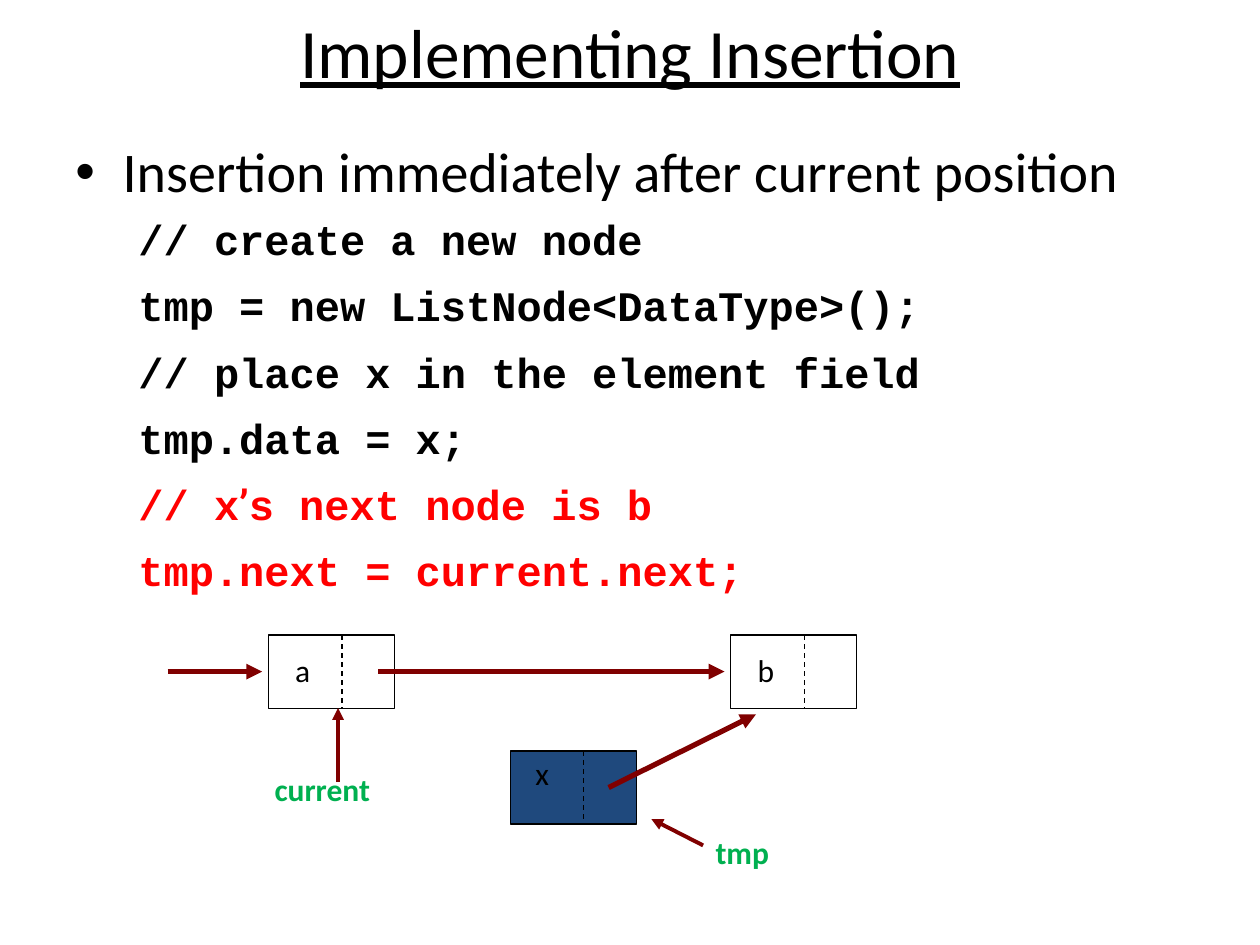
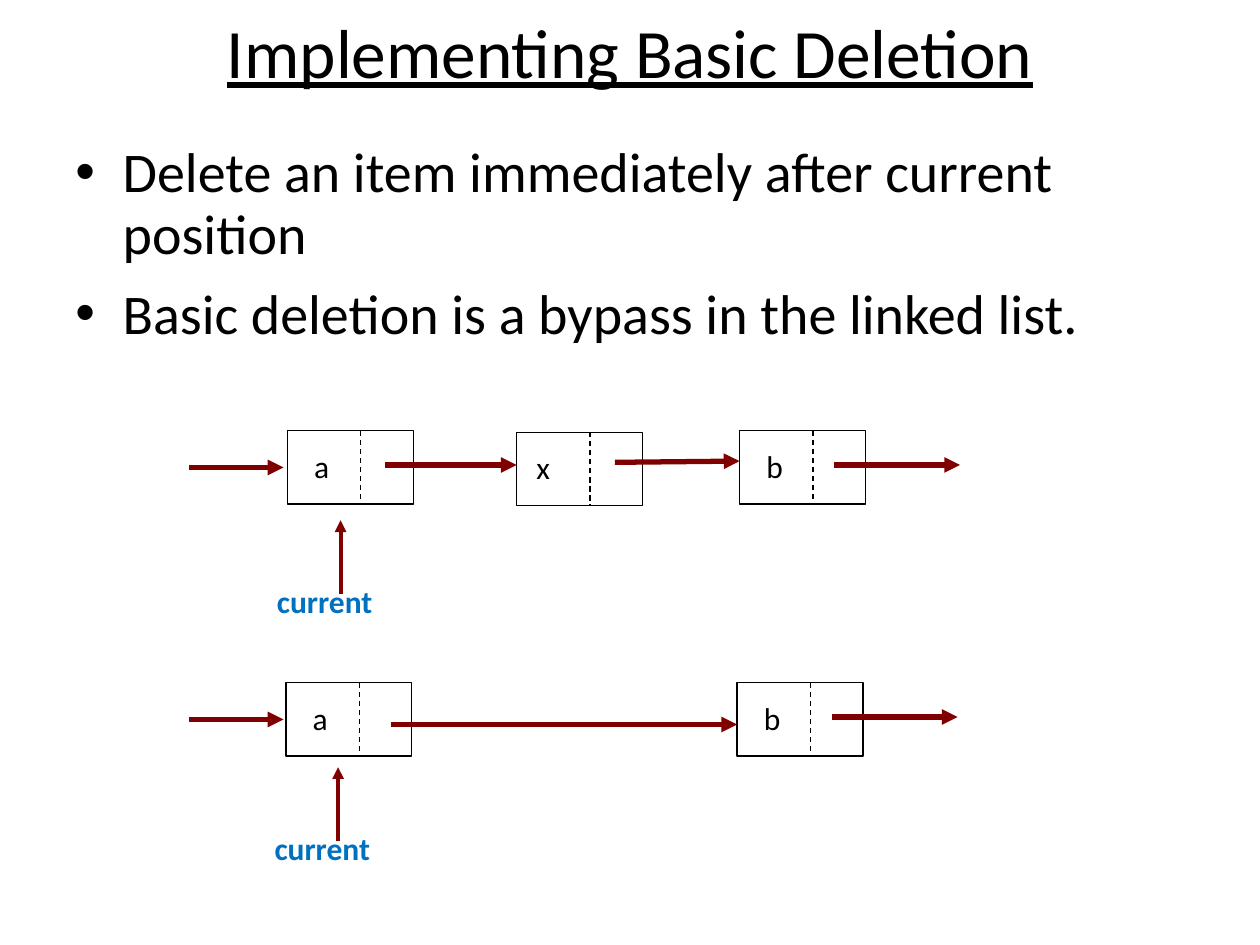
from dataclasses import dataclass

from lxml import etree
from pptx import Presentation
from pptx.dml.color import RGBColor
from pptx.enum.dml import MSO_LINE
from pptx.enum.shapes import MSO_CONNECTOR, MSO_SHAPE
from pptx.enum.text import MSO_ANCHOR, MSO_AUTO_SIZE, PP_ALIGN
from pptx.oxml.ns import qn
from pptx.util import Pt

STRAIGHT = MSO_CONNECTOR.STRAIGHT
RECT = MSO_SHAPE.RECTANGLE
DASH = MSO_LINE.DASH
TOP, MIDDLE = MSO_ANCHOR.TOP, MSO_ANCHOR.MIDDLE
CENTER = PP_ALIGN.CENTER
NO_AUTOFIT = MSO_AUTO_SIZE.NONE
TITLE_ONLY = 5


@dataclass(frozen=True)
class Theme:
    black: str = "000000"
    white: str = "FFFFFF"
    navy: str = "1F497D"
    maroon: str = "800000"
    red: str = "FF0000"
    green: str = "00B050"
    blue: str = "0070C0"
    font: str = "Calibri"
    code_font: str = "Courier New"
    quote_font: str = "Roboto"
    title_size: float = 39.6
    body_size: float = 32
    code_size: float = 24
    label_size: float = 18
    outline: float = 0.75
    pointer: float = 2.25
    link: float = 3


NODE_W, NODE_H, DIVIDER = 72, 41.8, 42
HEAD_LENGTH = 54


class Deck:
    def __init__(self, theme):
        self.theme = theme
        self.prs = Presentation()
        self.prs.slide_width, self.prs.slide_height = Pt(720), Pt(540)
        self.s = None

    def font(self, target, size, color=None, name=None, bold=False):
        f = target.font
        f.name, f.size, f.bold = name or self.theme.font, Pt(size), bold
        f.color.rgb = RGBColor.from_string(color or self.theme.black)

    def slide(self, title):
        self.s = self.prs.slides.add_slide(self.prs.slide_layouts[TITLE_ONLY])
        sp = self.s.shapes.title
        sp.left, sp.top, sp.width, sp.height = Pt(0), Pt(3.6), Pt(720), Pt(50.4)
        tf = sp.text_frame
        tf.text, tf.auto_size, tf.vertical_anchor = title, NO_AUTOFIT, MIDDLE
        p = tf.paragraphs[0]
        p.alignment = CENTER
        self.font(p, self.theme.title_size)
        p.font.underline = True

    def text_box(self, x, y, w, h, wrap=True):
        tf = self.s.shapes.add_textbox(Pt(x), Pt(y), Pt(w), Pt(h)).text_frame
        tf.word_wrap = wrap
        return tf

    def body(self, height):
        return self.text_box(36, 77.8, 656.6, height)

    def paragraph(self, tf, margin, indent):
        """Return the first empty paragraph, or a new one, with its indents set."""
        p = tf.paragraphs[0] if not tf.text else tf.add_paragraph()
        pPr = p._p.get_or_add_pPr()
        pPr.set("marL", str(Pt(margin)))
        pPr.set("indent", str(Pt(indent)))
        return p

    def bullet(self, tf, text, line_spacing=1.0):
        p = self.paragraph(tf, 27, -27)
        p.text = text
        p.line_spacing, p.space_before = line_spacing, Pt(6.4)
        self.font(p, self.theme.body_size)
        pPr = p._p.get_or_add_pPr()
        bu_font = etree.Element(qn("a:buFont"), typeface="Arial")
        bu_char = etree.Element(qn("a:buChar"), char="•")
        at = pPr.index(pPr.find(qn("a:defRPr")))
        pPr[at:at] = [bu_font, bu_char]

    def code(self, tf, text, color=None):
        t = self.theme
        p = self.paragraph(tf, 36, 0)
        p.space_before, p.space_after = Pt(5), Pt(4.1)
        before, quote, after = text.partition("’")
        for part, name in ((before, t.code_font), (quote, t.quote_font), (after, t.code_font)):
            if part:
                r = p.add_run()
                r.text = part
                self.font(r, t.code_size, color, name, bold=True)

    def line(self, start, end, color, width):
        cx = self.s.shapes.add_connector(STRAIGHT, *map(Pt, (*start, *end)))
        cx.line.color.rgb = RGBColor.from_string(color)
        cx.line.width = Pt(width)
        etree.SubElement(cx._element.spPr, qn("a:effectLst"))
        return cx

    def arrow(self, start, end, width=None):
        cx = self.line(start, end, self.theme.maroon, width or self.theme.link)
        etree.SubElement(cx.line._get_or_add_ln(), qn("a:tailEnd"), type="triangle")

    def head(self, x, y):
        """Draw the short arrow that leads into the list."""
        self.arrow((x, y), (x + HEAD_LENGTH, y))

    def node(self, x, y, text, fill=None, inset=15.3, anchor=MIDDLE):
        t = self.theme
        sp = self.s.shapes.add_shape(RECT, Pt(x), Pt(y), Pt(NODE_W), Pt(NODE_H))
        sp.shadow.inherit = False
        sp.fill.solid()
        sp.fill.fore_color.rgb = RGBColor.from_string(fill or t.white)
        sp.line.color.rgb = RGBColor.from_string(t.black)
        sp.line.width = Pt(t.outline)
        tf = sp.text_frame
        tf.text, tf.vertical_anchor, tf.margin_left = text, anchor, Pt(inset)
        p = tf.paragraphs[0]
        p.alignment, p.line_spacing = PP_ALIGN.LEFT, 0.95
        self.font(p, t.label_size)
        divider = self.line((x + DIVIDER, y), (x + DIVIDER, y + NODE_H), t.black, t.outline)
        divider.line.dash_style = DASH

    def label(self, x, y, w, text, color):
        tf = self.text_box(x, y, w, 28, wrap=False)
        tf.text, tf.vertical_anchor = text, TOP
        p = tf.paragraphs[0]
        p.line_spacing = 0.95
        self.font(p, self.theme.label_size, color, bold=True)

    def current(self, x, y, color):
        """Label the current node, with an arrow pointing up to it."""
        self.label(x, y, 77, "current", color)
        self.arrow((x + 43.4, y + 9.2), (x + 43.4, y - 33.2), self.theme.pointer)


def insertion(deck):
    t = deck.theme
    deck.slide("Implementing Insertion")
    tf = deck.body(264)
    deck.bullet(tf, "Insertion immediately after current position", 0.93)
    for text, color in (
        ("// create a new node", t.black),
        ("tmp = new ListNode<DataType>();", t.black),
        ("// place x in the element field", t.black),
        ("tmp.data = x;", t.black),
        ("// x’s next node is b", t.red),
        ("tmp.next = current.next;", t.red),
    ):
        deck.code(tf, text, color)

    row = 362.9
    deck.node(153.4, row, "a")
    deck.node(417.6, row, "b")
    deck.node(291.6, 429.1, "x", t.navy, 14.4, TOP)
    deck.head(95.8, 383.8)
    deck.arrow((216, 383.8), (414, 383.8))
    deck.arrow((347.8, 450), (432, 408.2))
    deck.current(149.8, 437.8, t.green)
    deck.label(401.8, 473.8, 47.5, "tmp", t.green)
    deck.arrow((401.8, 483.1), (372.2, 468), t.pointer)


def deletion(deck):
    t = deck.theme
    deck.slide("Implementing Basic Deletion")
    tf = deck.body(420)
    deck.bullet(tf, "Delete an item immediately after current position", 0.93)
    deck.bullet(tf, "Basic deletion is a bypass in the linked list.")

    for row, a, b in ((246.2, 164.2, 422.6), (390.2, 163.4, 421.2)):
        deck.node(a, row, "a")
        deck.node(b, row, "b")
        deck.head(108, row + 20.9)
        deck.arrow((b + 54, row + 19.5), (b + 126, row + 19.5))
    deck.node(295.2, 247, "x", inset=11.3)
    deck.arrow((220.3, 265.7), (295.2, 265.7))
    deck.arrow((351.4, 264.2), (422.6, 263.5))
    deck.arrow((223.2, 414), (421.2, 414))
    deck.current(151.2, 330.5, t.blue)
    deck.current(149.8, 471.6, t.blue)


def main():
    deck = Deck(Theme())
    insertion(deck)
    deletion(deck)
    deck.prs.save("out.pptx")


if __name__ == "__main__":
    main()
